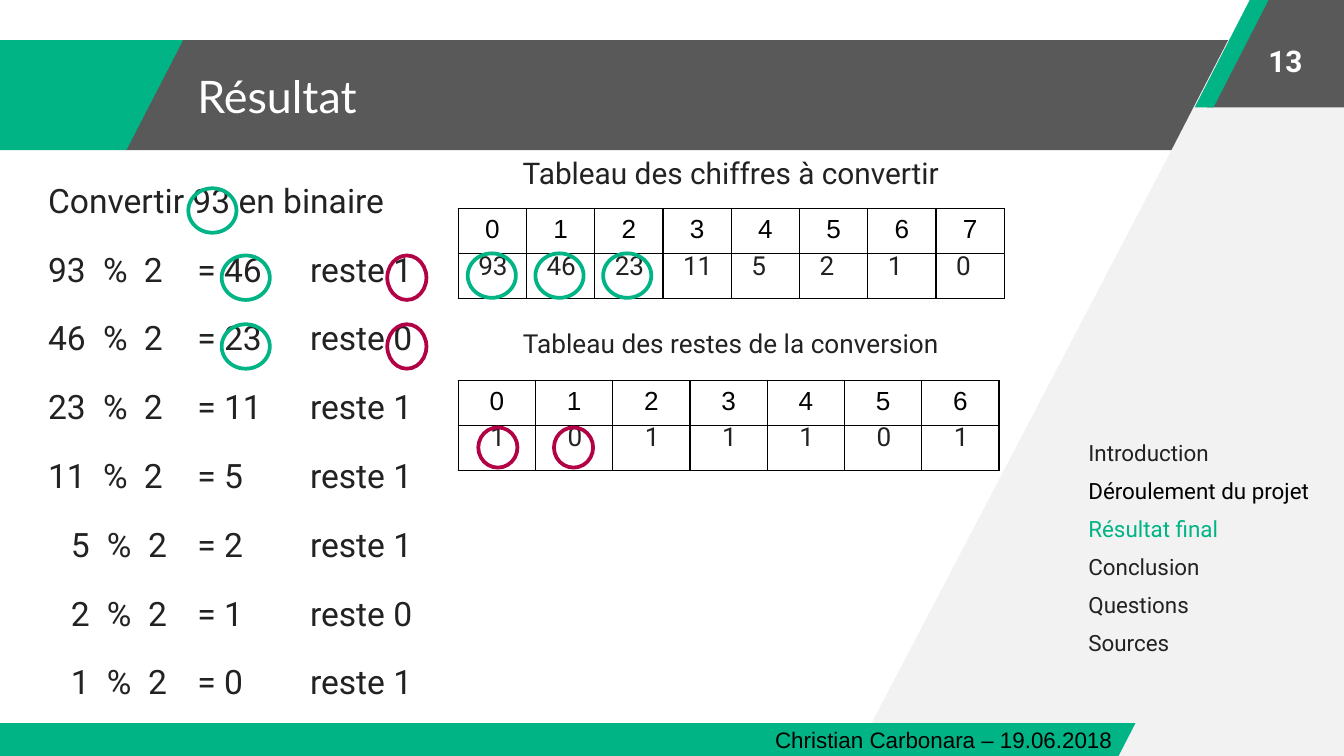
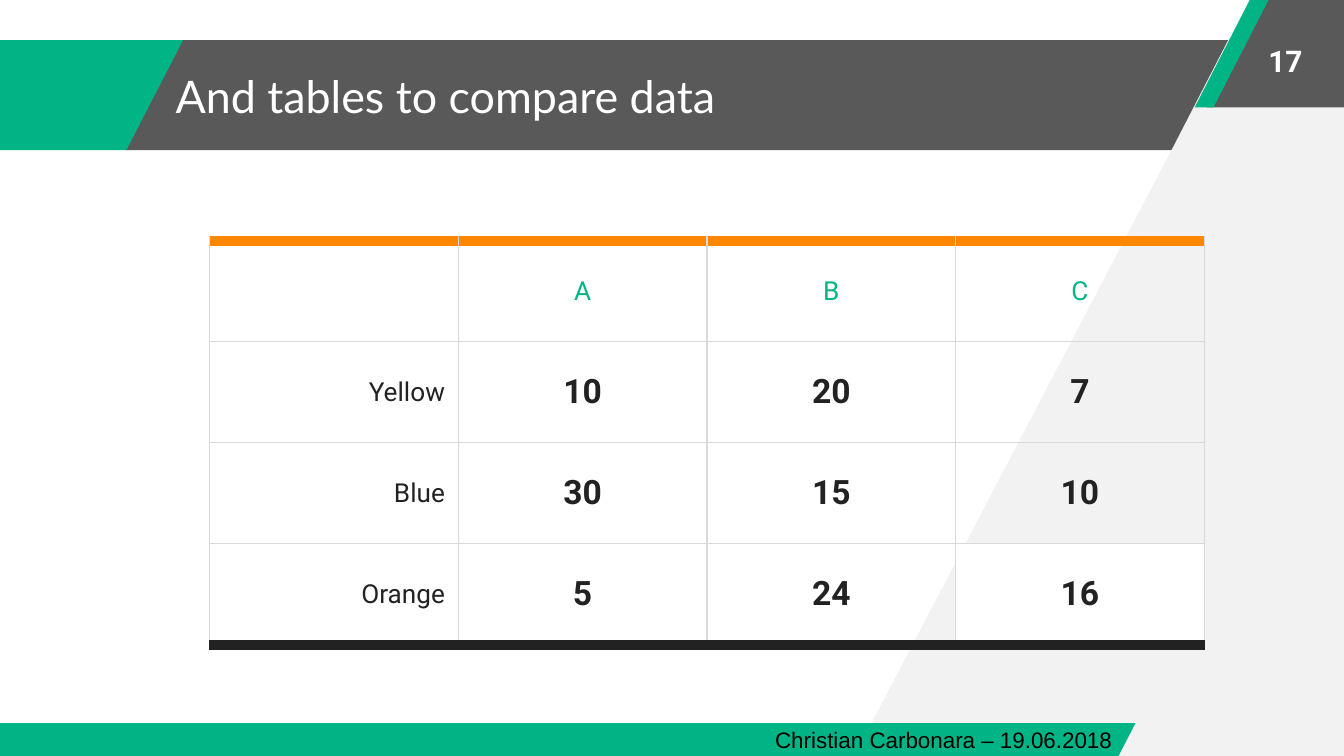
import dataclasses

import pptx
import pptx.dml.color
import pptx.enum.shapes
import pptx.enum.text
import pptx.oxml.ns
import pptx.util
from lxml import etree

Cm = pptx.util.Cm
Pt = pptx.util.Pt
qn = pptx.oxml.ns.qn
SHAPE = pptx.enum.shapes.MSO_SHAPE
ALIGN = pptx.enum.text.PP_ALIGN
ANCHOR = pptx.enum.text.MSO_ANCHOR


@dataclasses.dataclass(frozen=True)
class Theme:
    """Colours, fonts and type sizes of the presentation."""
    green: str = "00B485"
    red: str = "B20245"
    orange: str = "FF8700"
    band: str = "595959"
    pale: str = "F2F2F2"
    grid: str = "D9D9D9"
    ink: str = "222222"
    black: str = "000000"
    white: str = "FFFFFF"
    title_font: str = "Lato"
    body_font: str = "Roboto"
    plain_font: str = "Arial"
    title: int = 24
    body: int = 18
    heading: int = 16
    small: int = 14
    note: int = 12


def rgb(color):
    """Turn a hex string into a colour object."""
    return pptx.dml.color.RGBColor.from_string(color)


class Deck:
    """Draws styled elements on the current slide."""

    def __init__(self, prs, theme):
        """Keep the presentation and its style."""
        self.prs, self.theme, self.s = prs, theme, None

    def add_slide(self, title, number, title_left):
        """Start a slide with the shared bands, footer, title and number."""
        t = self.theme
        self.s = self.prs.slides.add_slide(self.prs.slide_layouts[6])
        self.backdrop()
        self.slant(22.81, -0.05, 4.88, 2.08, t.band)
        self.slant(22.58, -0.05, 1.42, 2.08, t.green, 0.75)
        self.slant(2.36, 0.76, 20.85, 2.08, t.band)
        self.slant(-1.78, 13.67, 23.24, 0.64, t.green)
        self.slant(-1.42, 0.76, 4.88, 2.08, t.green)
        self.text("Christian Carbonara – 19.06.2018", 14.4, 13.59, 7.01, 0.76,
                  size=t.note, font=t.plain_font, color=t.black,
                  before=0, inset_y=0.13)
        self.text(number, 23.47, 0.13, 1.65, 2.03, size=t.heading,
                  color=t.white, bold=True, align=ALIGN.CENTER,
                  anchor=ANCHOR.MIDDLE, before=0)
        self.text(title, title_left, 0.76, 18.67, 2.08, size=t.title,
                  font=t.title_font, color=t.white, anchor=ANCHOR.MIDDLE,
                  before=0)

    def paint(self, sp, fill=None, line=None):
        """Set fill and outline, and remove the shadow."""
        sp.shadow.inherit = False
        if fill:
            sp.fill.solid()
            sp.fill.fore_color.rgb = rgb(fill)
        else:
            sp.fill.background()
        if line:
            sp.line.color.rgb = rgb(line)
            sp.line.width = Pt(2)
        else:
            sp.line.fill.background()

    def backdrop(self):
        """Draw the pale slanted area on the right."""
        start, *rest = [(Cm(x), Cm(y)) for x, y in (
            (16.05, 14.48), (23.85, -0.43), (25.68, -0.43), (25.58, 14.55))]
        builder = self.s.shapes.build_freeform(*start, scale=1.0)
        builder.add_line_segments(rest, close=True)
        self.paint(builder.convert_to_shape(), self.theme.pale)

    def slant(self, x, y, w, h, fill, slope=0.515):
        """Draw a slanted band."""
        sp = self.s.shapes.add_shape(
            SHAPE.PARALLELOGRAM, Cm(x), Cm(y), Cm(w), Cm(h))
        sp.adjustments[0] = slope
        self.paint(sp, fill)

    def ring(self, x, y, w, h, color):
        """Circle a number."""
        sp = self.s.shapes.add_shape(
            SHAPE.OVAL, Cm(x), Cm(y), Cm(w), Cm(h))
        self.paint(sp, line=color)

    def style(self, p, size, font, color, bold=False, align=None):
        """Format a paragraph and its runs."""
        p.alignment = align
        for r in p.runs:
            r.font.size, r.font.name, r.font.bold = Pt(size), font, bold
            r.font.color.rgb = rgb(color)

    def text(self, text, x, y, w, h, size=None, font=None, color=None,
             bold=False, align=ALIGN.LEFT, anchor=ANCHOR.TOP, before=6,
             inset_y=0.25, indent=0, tabs=()):
        """Add a text box, by default in the body style, and return it."""
        t = self.theme
        sp = self.s.shapes.add_textbox(Cm(x), Cm(y), Cm(w), Cm(h))
        tf = sp.text_frame
        tf.word_wrap = True
        tf.vertical_anchor = anchor
        tf.margin_left, tf.margin_right = Cm(0.25 + indent), Cm(0.25)
        tf.margin_top = tf.margin_bottom = Cm(inset_y)
        tf.text = text
        for p in tf.paragraphs:
            self.style(p, size or t.body, font or t.body_font,
                       color or t.ink, bold, align)
            p.space_before = Pt(before)
            if tabs:
                stops = etree.SubElement(p._p.get_or_add_pPr(), qn("a:tabLst"))
                for pos in tabs:
                    etree.SubElement(stops, qn("a:tab"), pos=str(Cm(pos)),
                                     algn="l")
        return sp

    def menu(self, items, colors):
        """List the chapters, some of them in their own colour."""
        sp = self.text("\n".join(items), 20.22, 8.05, 5.18, 5.64,
                       size=self.theme.note, indent=0.1)
        for p in sp.text_frame.paragraphs:
            p.runs[0].font.color.rgb = rgb(
                colors.get(p.text, self.theme.ink))

    def table(self, rows, x, y, col_w, row_h):
        """Add a plain table with the given texts and return it."""
        tbl = self.s.shapes.add_table(
            len(rows), len(rows[0]), Cm(x), Cm(y),
            Cm(col_w * len(rows[0])), Cm(row_h * len(rows))).table
        tbl.first_row = tbl.horz_banding = False
        for col in tbl.columns:
            col.width = Cm(col_w)
        for row, values in zip(tbl.rows, rows):
            row.height = Cm(row_h)
            for cell, value in zip(row.cells, values):
                cell.text = value
        return tbl

    def finish_cell(self, cell, color, fill=None, top=None, bottom=None):
        """Draw the borders of a cell, thick where a colour is given."""
        pr = cell._tc.get_or_add_tcPr()
        for side, thick in (("L", None), ("R", None), ("T", top), ("B", bottom)):
            ln = etree.SubElement(pr, qn("a:ln" + side),
                                  w=str(Pt(6 if thick else 0.75)))
            solid = etree.SubElement(ln, qn("a:solidFill"))
            etree.SubElement(solid, qn("a:srgbClr"), val=thick or color)
        if fill:
            cell.fill.solid()
            cell.fill.fore_color.rgb = rgb(fill)
        else:
            cell.fill.background()

    def index_table(self, count, y, col_w):
        """Add a row of indices above a row left free for digits."""
        t = self.theme
        rows = [[str(i) for i in range(count)], [""] * count]
        tbl = self.table(rows, 8.66, y, col_w, 0.81)
        for cell in tbl.iter_cells():
            p = cell.text_frame.paragraphs[0]
            self.style(p, t.small, t.plain_font, t.black, align=ALIGN.CENTER)
            if not p.runs:
                etree.SubElement(p._p, qn("a:endParaRPr"),
                                 sz=str(t.small * 100))
            self.finish_cell(cell, t.black)

    def digits(self, values, x, y, pitch):
        """Write values over the free row of an index table."""
        for i, value in enumerate(values):
            self.text(str(value), x + i * pitch, y, 1.09, 1.12,
                      size=self.theme.small)

    def data_table(self, rows, x, y, col_w, row_h):
        """Add the comparison table with headings in its first row and column."""
        t = self.theme
        tbl = self.table(rows, x, y, col_w, row_h)
        last_row, last_col = len(rows) - 1, len(rows[0]) - 1
        for i, row in enumerate(tbl.rows):
            for j, cell in enumerate(row.cells):
                cell.vertical_anchor = ANCHOR.MIDDLE
                cell.margin_left = cell.margin_right = Cm(0.25)
                cell.margin_top = cell.margin_bottom = Cm(0.18)
                value = i > 0 and j > 0
                self.style(cell.text_frame.paragraphs[0],
                           t.body if value else t.small, t.body_font,
                           t.ink if i else t.green, value,
                           ALIGN.CENTER if j else ALIGN.RIGHT)
                corner = (i, j) == (last_row, last_col)
                self.finish_cell(cell, t.grid, t.white if corner else None,
                                 top=None if i else t.orange,
                                 bottom=t.ink if i == last_row else None)


def result_slide(deck):
    """Convert a number to binary, step by step."""
    t = deck.theme
    number, step = 93, 1.3
    deck.add_slide("Résultat", "13", 3.48)
    dividends, remainders = [number], []
    while dividends[-1]:
        quotient, rest = divmod(dividends[-1], 2)
        dividends.append(quotient)
        remainders.append(rest)

    deck.text(f"Convertir {number} en binaire", 0.66, 3.15, 7.21, 2.18)
    for i, rest in enumerate(remainders):
        y = 4.45 + i * step
        wide = dividends[i] > 9
        deck.text(f"{dividends[i]}\t%\t2", 0.66 if wide else 0.58, y, 3.78, 2.18,
                  indent=0 if wide else 0.51,
                  tabs=(1.04, 1.81) if wide else (0.68, 1.46))
        quotient = dividends[i + 1]
        deck.text(f"= {quotient}", 3.48, y, 1.9 if quotient > 9 else 1.63, 1.45)
        deck.text(f"reste {rest}", 5.61, y, 2.54, 1.45)

    deck.menu(["Introduction", "Déroulement du projet", "Résultat final",
               "Conclusion", "Questions", "Sources"],
              {"Déroulement du projet": t.black, "Résultat final": t.green})

    deck.index_table(len(remainders), 7.19, 1.46)
    deck.index_table(len(dividends), 3.94, 1.29)
    deck.text("Tableau des chiffres à convertir", 8.66, 2.67, 10.31, 1.35,
              size=t.heading, align=ALIGN.CENTER)
    deck.text("Tableau des restes de la conversion", 8.66, 5.94, 10.31, 1.35,
              size=t.small, align=ALIGN.CENTER)
    deck.digits(dividends, 8.79, 4.46, 1.29)
    deck.digits(remainders, 9.02, 7.7, 1.46)

    deck.ring(3.56, 3.56, 0.91, 0.84, t.green)
    for i in range(3):
        deck.ring(8.84 + i * 1.28, 4.79, 0.91, 0.84, t.green)
    for i in range(2):
        deck.ring(4.19, 4.83 + i * step, 0.91, 0.84, t.green)
        deck.ring(7.32, 4.83 + i * step, 0.74, 0.84, t.red)
        deck.ring(9.04 + i * 1.43, 8.08, 0.74, 0.76, t.red)


def comparison_slide(deck):
    """Compare data in a table."""
    deck.add_slide("And tables to compare data", "17", 3.07)
    deck.data_table([["", "A", "B", "C"],
                     ["Yellow", "10", "20", "7"],
                     ["Blue", "30", "15", "10"],
                     ["Orange", "5", "24", "16"]], 3.96, 4.55, 4.7, 1.91)


prs = pptx.Presentation()
prs.slide_width, prs.slide_height = Cm(25.4), Cm(14.29)
deck = Deck(prs, Theme())
result_slide(deck)
comparison_slide(deck)
prs.save("out.pptx")
